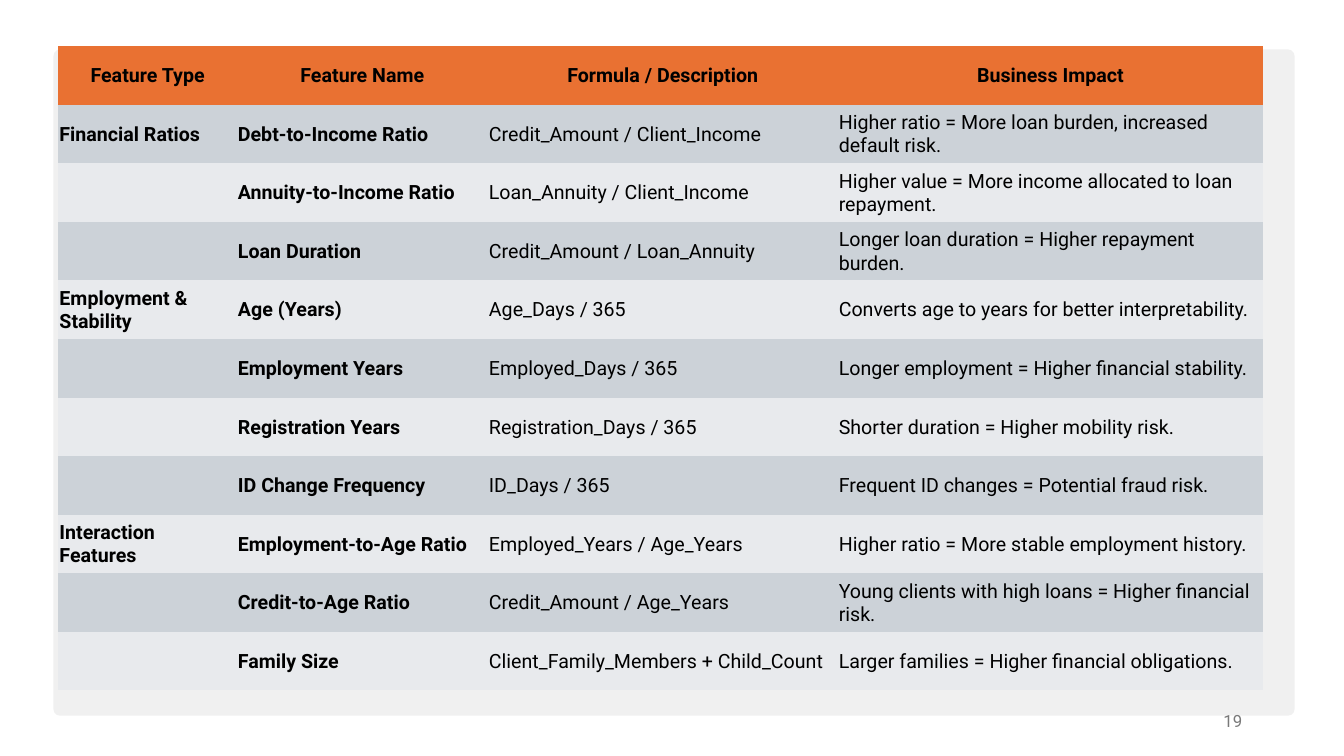
from dataclasses import dataclass
from typing import Any

from pptx import Presentation, util as u
from pptx.dml import color
from pptx.enum import shapes, text

BLACK = color.RGBColor(0x00, 0x00, 0x00)
GREY = color.RGBColor(0x79, 0x79, 0x79)
PANEL = color.RGBColor(0xF0, 0xF0, 0xF0)
ORANGE = color.RGBColor(0xE9, 0x71, 0x32)
DARK = color.RGBColor(0xCC, 0xD2, 0xD8)
LIGHT = color.RGBColor(0xE8, 0xEA, 0xED)
NO_GRID = "{2D5ABB26-0587-4C30-8999-92F81FD0307C}"
WIDTHS = (1.77, 2.49, 3.47, 4.22)
HEADS = ("Feature Type", "Feature Name", "Formula / Description", "Business Impact")
INSET = {
    "margin_left": u.Inches(0.01),
    "margin_right": u.Inches(0.01),
    "margin_top": u.Inches(0.01),
    "margin_bottom": 0,
    "vertical_anchor": text.MSO_ANCHOR.MIDDLE,
}


@dataclass
class Feature:
    kind: str
    name: str
    formula: str
    impact: str

    def texts(self) -> tuple[str, ...]:
        return self.kind, self.name, self.formula, self.impact


FEATURES = [
    Feature("Financial Ratios", "Debt-to-Income Ratio", "Credit_Amount / Client_Income",
            "Higher ratio = More loan burden, increased default risk."),
    Feature("", "Annuity-to-Income Ratio", "Loan_Annuity / Client_Income",
            "Higher value = More income allocated to loan repayment."),
    Feature("", "Loan Duration", "Credit_Amount / Loan_Annuity",
            "Longer loan duration = Higher repayment burden."),
    Feature("Employment & Stability", "Age (Years)", "Age_Days / 365",
            "Converts age to years for better interpretability."),
    Feature("", "Employment Years", "Employed_Days / 365",
            "Longer employment = Higher financial stability."),
    Feature("", "Registration Years", "Registration_Days / 365",
            "Shorter duration = Higher mobility risk."),
    Feature("", "ID Change Frequency", "ID_Days / 365",
            "Frequent ID changes = Potential fraud risk."),
    Feature("Interaction Features", "Employment-to-Age Ratio", "Employed_Years / Age_Years",
            "Higher ratio = More stable employment history."),
    Feature("", "Credit-to-Age Ratio", "Credit_Amount / Age_Years",
            "Young clients with high loans = Higher financial risk."),
    Feature("", "Family Size", "Client_Family_Members + Child_Count",
            "Larger families = Higher financial obligations."),
]


def apply(item: Any, format: dict[str, Any]) -> None:
    for key, value in format.items():
        setattr(item, key, value)


def write(frame: Any, words: str, size: int, ink: color.RGBColor, bold: bool,
          align: text.PP_ALIGN) -> None:
    para = frame.paragraphs[0]
    para.alignment = align
    run = para.add_run()
    run.text = words
    apply(run.font, {"name": "Roboto", "size": u.Pt(size), "bold": bold})
    run.font.color.rgb = ink


def draw_panel(slide: Any) -> None:
    panel = slide.shapes.add_shape(
        shapes.MSO_SHAPE.ROUNDED_RECTANGLE,
        u.Inches(0.53), u.Inches(0.49), u.Inches(12.31), u.Inches(6.61))
    panel.adjustments[0] = 0.01
    panel.shadow.inherit = False
    panel.fill.solid()
    panel.fill.fore_color.rgb = PANEL
    panel.line.fill.background()


def draw_table(slide: Any) -> None:
    rows = [HEADS] + [feature.texts() for feature in FEATURES]
    frame = slide.shapes.add_table(
        len(rows), len(HEADS),
        u.Inches(0.58), u.Inches(0.46), u.Inches(sum(WIDTHS)), u.Inches(6.39))
    grid = frame.table
    grid._tbl.tblPr[0].text = NO_GRID
    for column, width in zip(grid.columns, WIDTHS):
        column.width = u.Inches(width)
    for y, row in enumerate(rows):
        head = y == 0
        fill = ORANGE if head else DARK if y % 2 else LIGHT
        align = text.PP_ALIGN.CENTER if head else text.PP_ALIGN.LEFT
        for x, words in enumerate(row):
            cell = grid.cell(y, x)
            apply(cell, INSET)
            cell.fill.solid()
            cell.fill.fore_color.rgb = fill
            if words:
                write(cell.text_frame, words, 14, BLACK, head or x < 2, align)


def draw_number(slide: Any) -> None:
    box = slide.shapes.add_textbox(
        u.Inches(9.42), u.Inches(6.95), u.Inches(3), u.Inches(0.4))
    apply(box.text_frame, {"word_wrap": True, "vertical_anchor": text.MSO_ANCHOR.MIDDLE})
    write(box.text_frame, "19", 12, GREY, False, text.PP_ALIGN.RIGHT)


def main() -> None:
    deck = Presentation()
    apply(deck, {"slide_width": u.Inches(13.33), "slide_height": u.Inches(7.5)})
    slide = deck.slides.add_slide(deck.slide_layouts[6])
    draw_panel(slide)
    draw_table(slide)
    draw_number(slide)
    deck.save("out.pptx")


if __name__ == "__main__":
    main()
